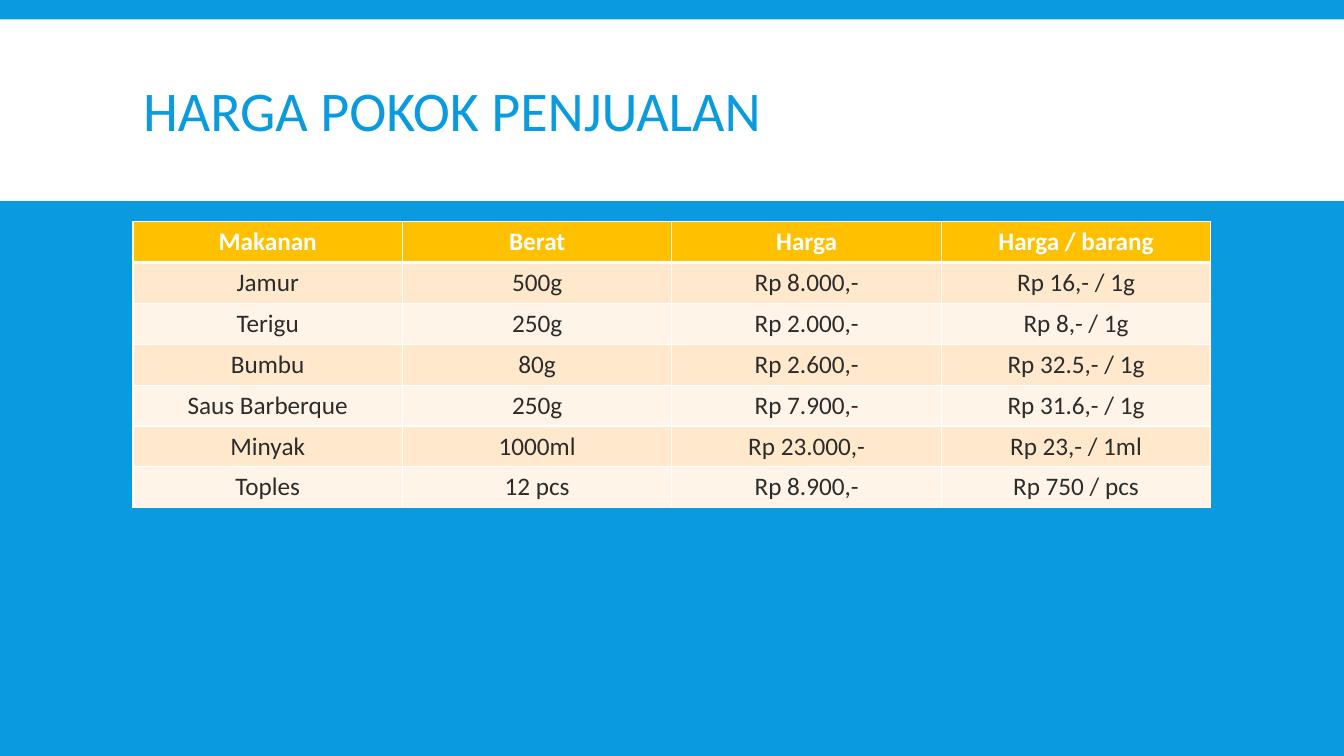
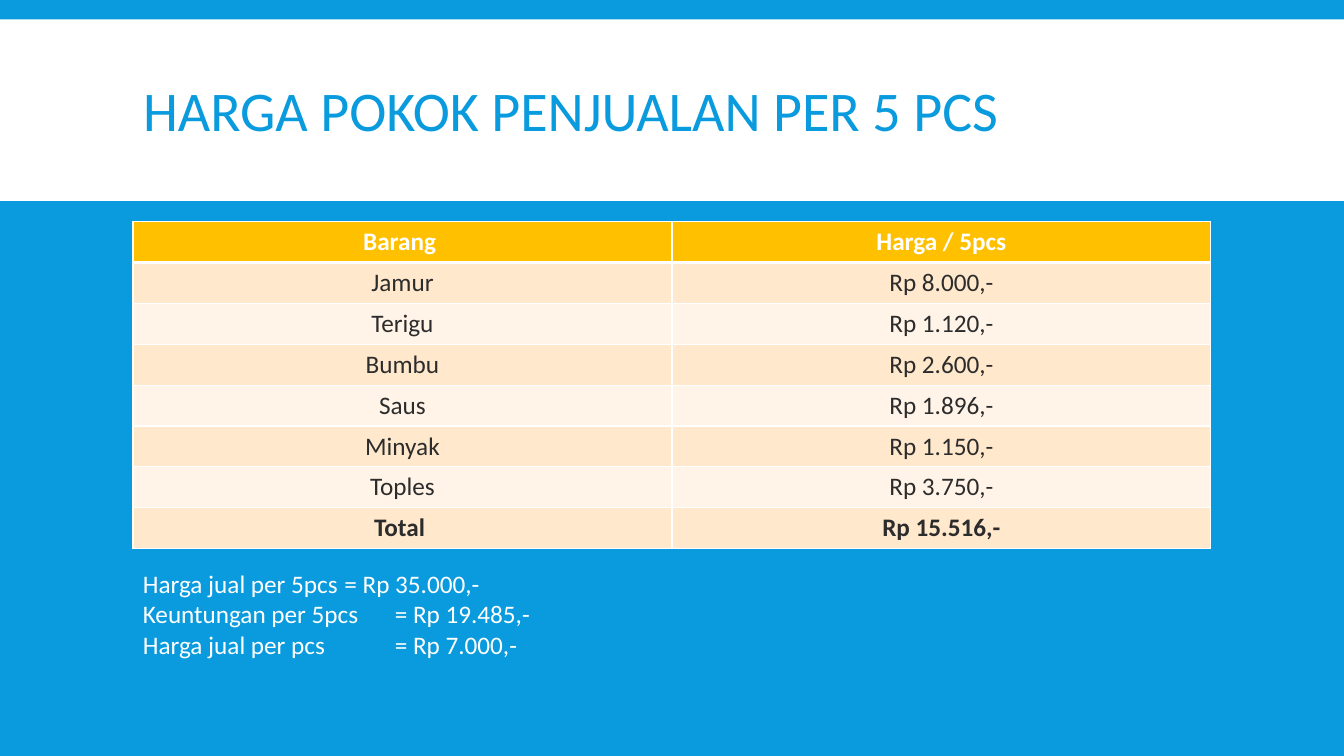
from lxml.etree import SubElement
from pptx import Presentation
from pptx.dml.color import RGBColor
from pptx.enum.shapes import MSO_SHAPE
from pptx.enum.text import MSO_ANCHOR, MSO_AUTO_SIZE, PP_ALIGN
from pptx.oxml.ns import qn
from pptx.util import Pt

# Shared style
BLUE = RGBColor(0x09, 0x9B, 0xDD)
WHITE = RGBColor(0xFF, 0xFF, 0xFF)
GOLD = RGBColor(0xFF, 0xC0, 0x00)
PEACH = RGBColor(0xFF, 0xE8, 0xCC)
CREAM = RGBColor(0xFF, 0xF4, 0xE7)
DARK = RGBColor(0x2C, 0x2C, 0x2C)
FONT = "Calibri"
SLIDE_W, SLIDE_H = Pt(960), Pt(540)
LEFT, WIDTH = Pt(95), Pt(770)
TABLE_TOP, ROW_H = Pt(158.3), Pt(29.2)
THIN, THICK = Pt(1), Pt(3)

# Content
PRICES = [
    ("Makanan", "Berat", "Harga", "Harga / barang"),
    ("Jamur", "500g", "Rp 8.000,-", "Rp 16,- / 1g"),
    ("Terigu", "250g", "Rp 2.000,-", "Rp 8,- / 1g"),
    ("Bumbu", "80g", "Rp 2.600,-", "Rp 32.5,- / 1g"),
    ("Saus Barberque", "250g", "Rp 7.900,-", "Rp 31.6,- / 1g"),
    ("Minyak", "1000ml", "Rp 23.000,-", "Rp 23,- / 1ml"),
    ("Toples", "12 pcs", "Rp 8.900,-", "Rp 750 / pcs"),
]
COSTS = [
    ("Barang ", "Harga / 5pcs"),
    ("Jamur", "Rp 8.000,-"),
    ("Terigu", "Rp 1.120,-"),
    ("Bumbu", "Rp 2.600,-"),
    ("Saus", "Rp 1.896,-"),
    ("Minyak", "Rp 1.150,-"),
    ("Toples", "Rp 3.750,-"),
    ("Total ", "Rp 15.516,-"),
]
SUMMARY = [
    "Harga jual per 5pcs \t= Rp 35.000,-",
    "Keuntungan per 5pcs \t= Rp 19.485,-\vHarga jual per pcs \t\t= Rp 7.000,-",
]


def format_runs(p, size, color, bold=False):
    for r in p.runs:
        r.font.name, r.font.size, r.font.bold = FONT, Pt(size), bold
        r.font.color.rgb = color


def style_layout(layout):
    """Set the background and title place for every slide."""
    layout.background.fill.solid()
    layout.background.fill.fore_color.rgb = BLUE
    title = layout.placeholders[0]
    title.left, title.top, title.width, title.height = LEFT, Pt(22.5), WIDTH, Pt(118.5)


def add_band(slide, layout):
    """Draw the white title band and hand it to the layout."""
    sp = slide.shapes.add_shape(MSO_SHAPE.RECTANGLE, 0, Pt(13.9), SLIDE_W, Pt(129.6))
    sp.shadow.inherit = False
    sp.fill.solid()
    sp.fill.fore_color.rgb = WHITE
    sp.line.fill.background()
    layout.shapes.element.insert(2, sp.element)


def set_title(slide, text):
    tf = slide.shapes.title.text_frame
    tf.text = text
    tf.vertical_anchor = MSO_ANCHOR.MIDDLE
    tf.auto_size = MSO_AUTO_SIZE.NONE
    p = tf.paragraphs[0]
    p.alignment, p.line_spacing = PP_ALIGN.LEFT, 0.85
    format_runs(p, 40, BLUE)


def set_borders(cell, top, bottom):
    tcPr = cell._tc.get_or_add_tcPr()
    for side, width in (("L", THIN), ("R", THIN), ("T", top), ("B", bottom)):
        ln = SubElement(tcPr, qn(f"a:ln{side}"), w=str(width))
        fill = SubElement(ln, qn("a:solidFill"))
        SubElement(fill, qn("a:srgbClr"), val=str(WHITE))


def add_price_table(slide, rows, total=False):
    n_rows, n_cols = len(rows), len(rows[0])
    table = slide.shapes.add_table(
        n_rows, n_cols, LEFT, TABLE_TOP, WIDTH, ROW_H * n_rows).table
    table.horz_banding = False
    for i, row in enumerate(rows):
        header = i == 0
        bold = header or (total and i == n_rows - 1)
        for j, text in enumerate(row):
            cell = table.cell(i, j)
            set_borders(cell, THICK if i == 1 else THIN, THICK if header else THIN)
            cell.fill.solid()
            cell.fill.fore_color.rgb = GOLD if header else PEACH if i % 2 else CREAM
            cell.text = text
            p = cell.text_frame.paragraphs[0]
            p.alignment = PP_ALIGN.CENTER
            format_runs(p, 18, WHITE if header else DARK, bold)


def add_summary(slide, lines):
    tf = slide.shapes.add_textbox(LEFT, Pt(402.5), WIDTH, Pt(72.7)).text_frame
    tf.word_wrap = True
    tf.auto_size = MSO_AUTO_SIZE.SHAPE_TO_FIT_TEXT
    tf.text = "\n".join(lines)
    for p in tf.paragraphs:
        tabs = SubElement(p._p.get_or_add_pPr(), qn("a:tabLst"))
        for stop in (144, 180):
            SubElement(tabs, qn("a:tab"), pos=str(Pt(stop)), algn="l")
        format_runs(p, 18, WHITE)


def main():
    prs = Presentation()
    prs.slide_width, prs.slide_height = SLIDE_W, SLIDE_H
    layout = prs.slide_layouts[5]
    style_layout(layout)

    # Cost of goods
    s = prs.slides.add_slide(layout)
    add_band(s, layout)
    set_title(s, "HARGA POKOK PENJUALAN")
    add_price_table(s, PRICES)

    # Cost and profit per 5 pieces
    s = prs.slides.add_slide(layout)
    set_title(s, "HARGA POKOK PENJUALAN PER 5 PCS")
    add_price_table(s, COSTS, total=True)
    add_summary(s, SUMMARY)

    prs.save("out.pptx")


if __name__ == "__main__":
    main()
